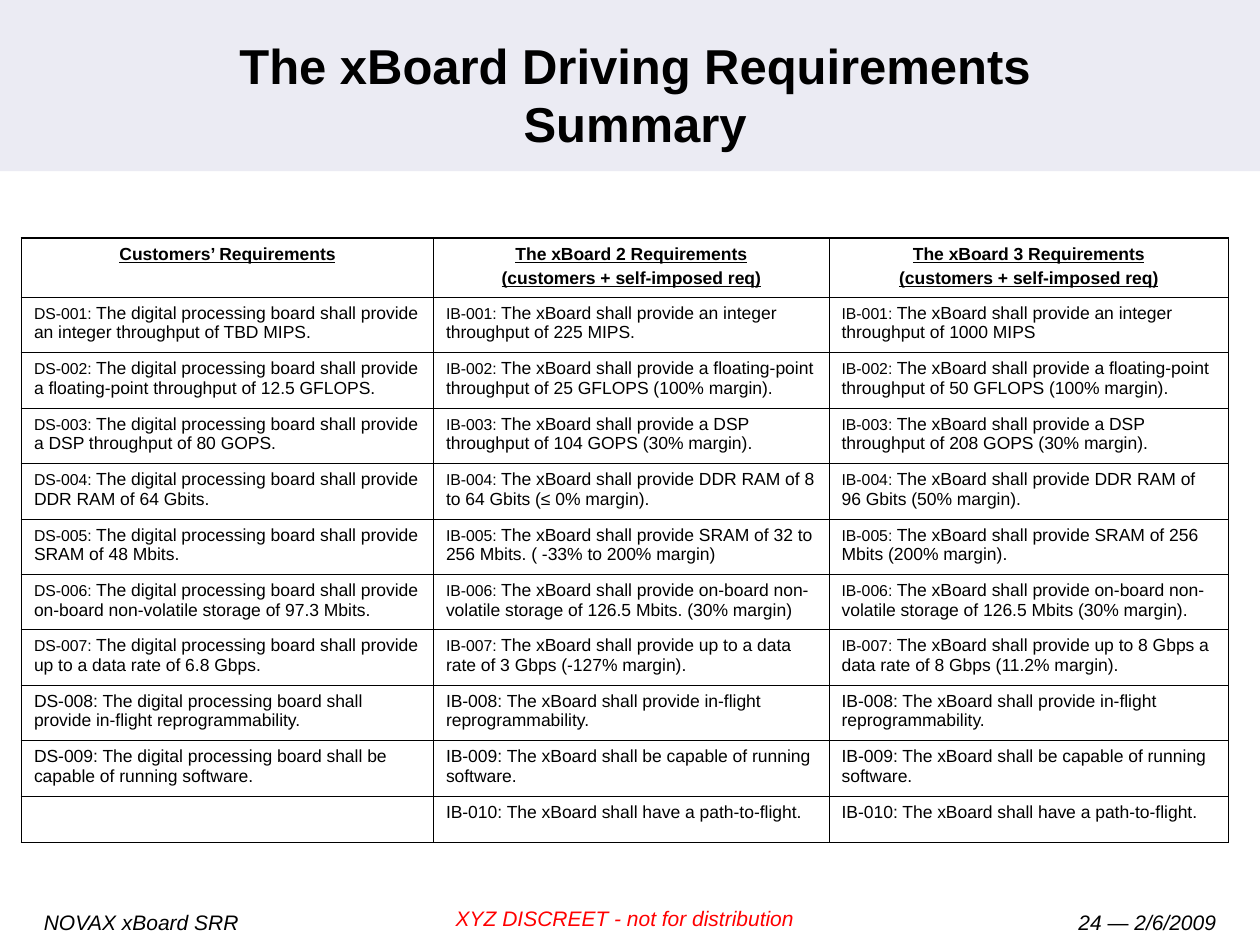
from lxml import etree
from pptx import Presentation
from pptx import util as u
from pptx.dml.color import RGBColor
from pptx.enum import shapes, text
from pptx.oxml.ns import qn

Inches, Pt = u.Inches, u.Pt
ALIGN, ANCHOR = text.PP_ALIGN, text.MSO_ANCHOR

BLACK = RGBColor(0x00, 0x00, 0x00)
RED = RGBColor(0xFF, 0x00, 0x00)
BAND = RGBColor(0xEB, 0xEB, 0xF3)

THICK, THIN = 1.08, 0.45
COLUMN_WIDTHS = (3.27, 3.14, 3.17)
ROW_HEIGHTS = (0.47, *[0.44] * 9, 0.37)
SMALL_ID_ROWS = 7
COLUMN_STEMS = (
    ("DS", "The digital processing board shall "),
    ("IB", "The xBoard shall "),
    ("IB", "The xBoard shall "),
)
HEADERS = (
    ("Customers’ Requirements",),
    ("The xBoard 2 Requirements", "(customers + self-imposed req)"),
    ("The xBoard 3 Requirements", "(customers + self-imposed req)"),
)
REPROGRAM = "provide in-flight reprogrammability."
SOFTWARE = "be capable of running software."
FLIGHT = "have a path-to-flight."
REQUIREMENTS = (
    ("provide an integer throughput of TBD MIPS.",
     "provide an integer throughput of 225 MIPS.",
     "provide an integer throughput of 1000 MIPS"),
    ("provide a floating-point throughput of 12.5 GFLOPS.",
     "provide a floating-point throughput of 25 GFLOPS (100% margin).",
     "provide a floating-point throughput of 50 GFLOPS (100% margin)."),
    ("provide a DSP throughput of 80 GOPS.",
     "provide a DSP throughput of 104 GOPS (30% margin).",
     "provide a DSP throughput of 208 GOPS (30% margin)."),
    ("provide DDR RAM of 64 Gbits.",
     "provide DDR RAM of 8 to 64 Gbits (≤ 0% margin).",
     "provide DDR RAM of 96 Gbits (50% margin)."),
    ("provide SRAM of 48 Mbits.",
     "provide SRAM of 32 to 256 Mbits. ( -33% to 200% margin)",
     "provide SRAM of 256 Mbits (200% margin)."),
    ("provide on-board non-volatile storage of 97.3 Mbits.",
     "provide on-board non-volatile storage of 126.5 Mbits. (30% margin)",
     "provide on-board non-volatile storage of 126.5 Mbits (30% margin)."),
    ("provide up to a data rate of 6.8 Gbps.",
     "provide up to a data rate of 3 Gbps (-127% margin).",
     "provide up to 8 Gbps a data rate of 8 Gbps (11.2% margin)."),
    (REPROGRAM, REPROGRAM, REPROGRAM),
    (SOFTWARE, SOFTWARE, SOFTWARE),
    (None, FLIGHT, FLIGHT),
)


def add_run(p, content, size=10, color=BLACK, bold=False, italic=False,
            underline=False):
    r = p.add_run()
    r.text = content
    r.font.name = "Arial"
    r.font.size = Pt(size)
    r.font.color.rgb = color
    r.font.bold, r.font.italic, r.font.underline = bold, italic, underline


def set_borders(cell, **widths):
    """Draw solid black borders; keys are L, R, T and B, values are points."""
    props = cell._tc.get_or_add_tcPr()
    for i, side in enumerate("LRTB"):
        ln = etree.Element(qn("a:ln" + side), w=str(Pt(widths[side])))
        fill = etree.SubElement(ln, qn("a:solidFill"))
        etree.SubElement(fill, qn("a:srgbClr"), val=str(BLACK))
        props.insert(i, ln)


def add_title(slide, left, top, width, height):
    band = slide.shapes.add_shape(shapes.MSO_SHAPE.RECTANGLE, 0, 0,
                                  Inches(10), Inches(1.36))
    band.shadow.inherit = False
    band.fill.solid()
    band.fill.fore_color.rgb = BAND
    band.line.fill.background()
    title = slide.shapes.title
    title._element.addprevious(band._element)
    title.left, title.top = left, top
    title.width, title.height = width, height
    tf = title.text_frame
    tf.word_wrap = True
    tf.auto_size = text.MSO_AUTO_SIZE.NONE
    tf.vertical_anchor = ANCHOR.MIDDLE
    p = tf.paragraphs[0]
    p.alignment = ALIGN.CENTER
    add_run(p, "The xBoard Driving Requirements Summary", size=28, bold=True)


def fill_header(cell, lines):
    tf = cell.text_frame
    for i, line in enumerate(lines):
        p = tf.add_paragraph() if i else tf.paragraphs[0]
        p.alignment = ALIGN.CENTER
        p.space_before = Pt(2.5)
        add_run(p, line, bold=True, underline=True)


def fill_requirement(cell, number, stem, requirement):
    p = cell.text_frame.paragraphs[0]
    p.font.size = Pt(10)
    if requirement is None:
        return
    p.space_before = Pt(2.5)
    prefix, opening = stem
    label, sentence = f"{prefix}-{number:03d}: ", opening + requirement
    if number <= SMALL_ID_ROWS:
        add_run(p, label, size=9)
        add_run(p, sentence)
    else:
        add_run(p, label + sentence)


def add_requirements_table(slide, left, top):
    rows, cols = len(ROW_HEIGHTS), len(COLUMN_WIDTHS)
    frame = slide.shapes.add_table(rows, cols, left, top,
                                   Inches(sum(COLUMN_WIDTHS)),
                                   Inches(sum(ROW_HEIGHTS)))
    table = frame.table
    table.first_row = table.horz_banding = False
    for column, width in zip(table.columns, COLUMN_WIDTHS):
        column.width = Inches(width)
    for row, height in zip(table.rows, ROW_HEIGHTS):
        row.height = Inches(height)
    for i in range(rows):
        for j in range(cols):
            cell = table.cell(i, j)
            cell.fill.background()
            set_borders(cell,
                        L=THIN if j else THICK,
                        R=THIN if j < cols - 1 else THICK,
                        T=THIN if i else THICK,
                        B=THIN if i < rows - 1 else THICK)
            if i == 0:
                fill_header(cell, HEADERS[j])
            else:
                fill_requirement(cell, i, COLUMN_STEMS[j],
                                 REQUIREMENTS[i - 1][j])


def add_footer_text(slide, left, top, width, height, runs, align,
                    color=BLACK, anchor=ANCHOR.TOP):
    """Add one footer entry; runs are (text, italic) pairs."""
    tf = slide.shapes.add_textbox(left, top, width, height).text_frame
    tf.word_wrap = True
    tf.vertical_anchor = anchor
    p = tf.paragraphs[0]
    p.alignment = align
    for content, italic in runs:
        add_run(p, content, size=12, color=color, italic=italic)


def add_footer(slide, left, top):
    add_footer_text(slide, left, top, Inches(2.5), Inches(0.33),
                    [("NOVAX xBoard SRR", True)], ALIGN.LEFT)
    add_footer_text(slide, left + Inches(3.25), top - Inches(0.03),
                    Inches(2.92), Inches(0.3),
                    [("XYZ DISCREET - not for distribution", True)],
                    ALIGN.CENTER, RED, ANCHOR.MIDDLE)
    add_footer_text(slide, left + Inches(7.42), top, Inches(2.08),
                    Inches(0.33),
                    [("24", True), (" —", False), (" 2/6/2009", True)],
                    ALIGN.RIGHT)


def main():
    prs = Presentation()
    prs.slide_width, prs.slide_height = Inches(10), Inches(7.5)
    slide = prs.slides.add_slide(prs.slide_layouts[5])
    add_title(slide, Inches(1.33), Inches(0.33), Inches(7.42), Inches(0.83))
    add_requirements_table(slide, Inches(0.17), Inches(1.89))
    add_footer(slide, Inches(0.25), Inches(7.17))
    prs.save("out.pptx")


if __name__ == "__main__":
    main()
